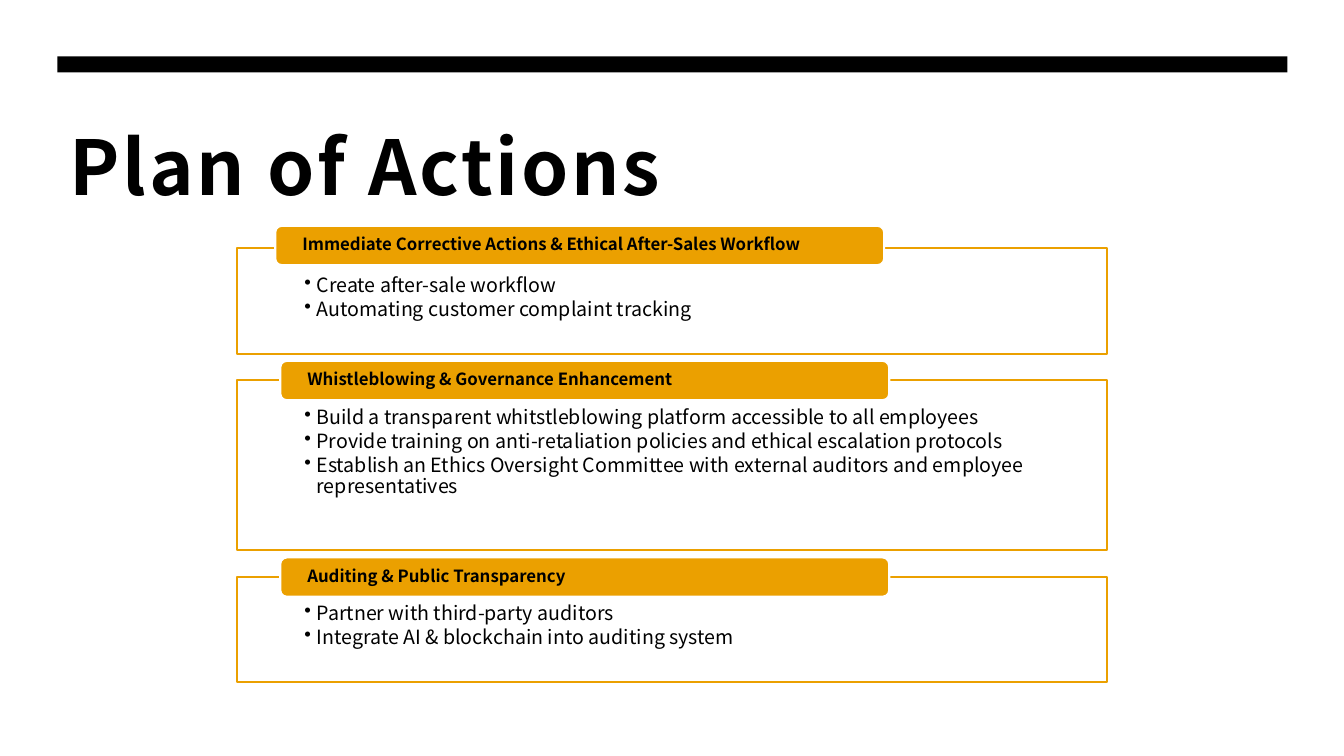
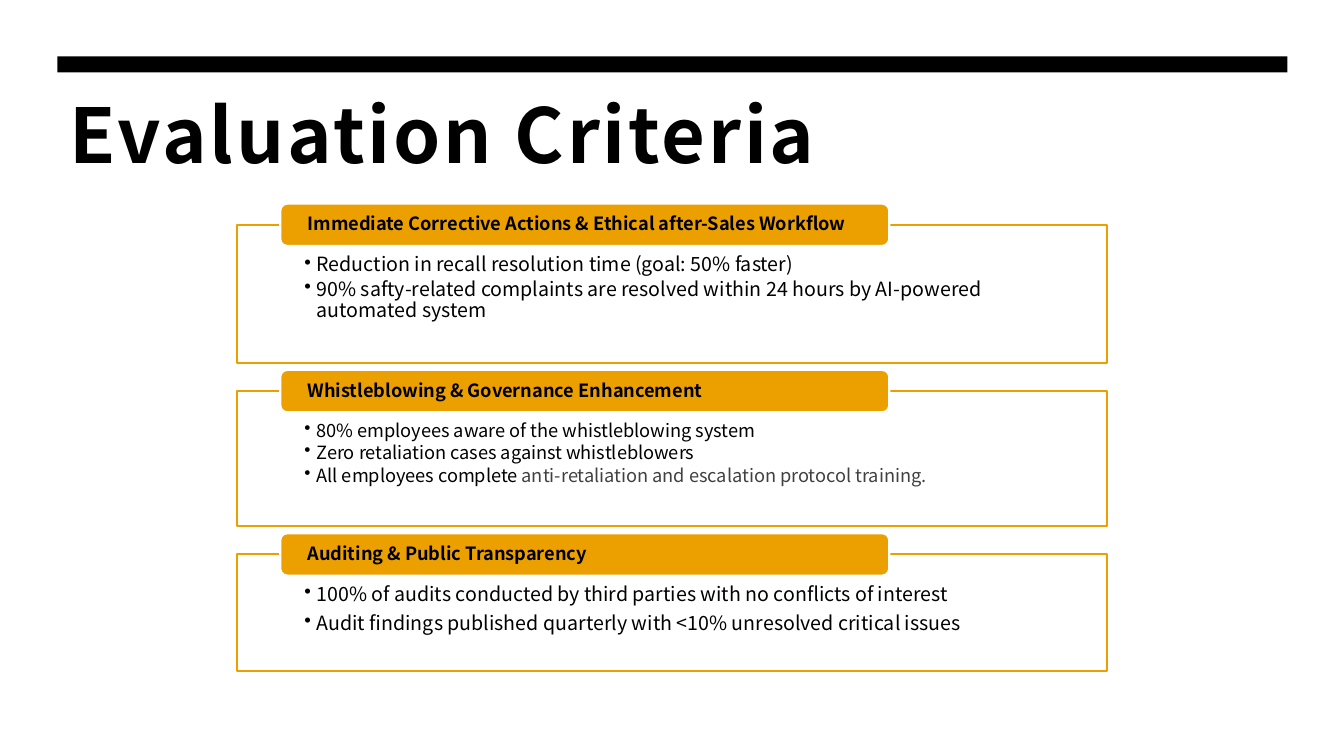
from dataclasses import dataclass

from lxml.etree import SubElement
from pptx import Presentation
from pptx.dml.color import RGBColor
from pptx.enum.shapes import MSO_SHAPE as Shape
from pptx.enum.text import MSO_ANCHOR as Anchor, PP_ALIGN as Align
from pptx.oxml.ns import qn
from pptx.util import Inches, Pt

# Shared style
FONT = "Noto Sans CJK SC"
BLACK, WHITE, GOLD, GREY = "000000", "FFFFFF", "EBA000", "404040"
PANEL_LEFT, PANEL_WIDTH = 2.35, 8.63
LABEL_LEFT, LABEL_WIDTH = 2.78, 6.04


@dataclass
class Panel:
    heading: str
    height: float
    bullets: list  # each bullet is a list of (text, colour) parts or a string
    size: int = 14
    bullet_gap: float = 2.1
    label_shift: tuple = (0, 0)


@dataclass
class PanelStack:
    title: str
    title_top: float
    top: float
    gap: float
    label_rise: float
    label_height: float
    label_size: int
    text_inset: float
    panels: list


PLAN = PanelStack(
    "Plan of Actions", 1.07, top=2.46, gap=0.26, label_rise=0.19,
    label_height=0.39, label_size=12, text_inset=0.27,
    panels=[
        Panel("Immediate Corrective Actions & Ethical After-Sales Workflow", 1.05, [
            "Create after-sale workflow",
            "Automating customer complaint tracking",
        ], label_shift=(-0.05, -0.03)),
        Panel("Whistleblowing & Governance Enhancement", 1.69, [
            "Build a transparent whitstleblowing platform accessible to all employees",
            "Provide training on anti-retaliation policies and ethical escalation protocols",
            "Establish an Ethics Oversight Committee with external auditors and employee "
            "representatives",
        ]),
        Panel("Auditing & Public Transparency", 1.05, [
            "Partner with third-party auditors",
            "Integrate AI & blockchain into auditing system",
        ]),
    ])

CRITERIA = PanelStack(
    "Evaluation Criteria", 0.75, top=2.23, gap=0.28, label_rise=0.21,
    label_height=0.42, label_size=13, text_inset=0.3,
    panels=[
        Panel("Immediate Corrective Actions & Ethical after-Sales Workflow", 1.37, [
            "Reduction in recall resolution time (goal: 50% faster)",
            "90% safty-related complaints are resolved within 24 hours by AI-powered "
            "automated system",
        ]),
        Panel("Whistleblowing & Governance Enhancement", 1.34, [
            "80% employees aware of the whistleblowing system",
            "Zero retaliation cases against whistleblowers",
            [("All employees complete", BLACK),
             (" anti-retaliation and escalation protocol training.", GREY)],
        ], size=13),
        Panel("Auditing & Public Transparency", 1.16, [
            "100% of audits conducted by third parties with no conflicts of interest",
            "Audit findings published quarterly with <10% unresolved critical issues",
        ], bullet_gap=5.6),
    ])


def rgb(hex_colour):
    return RGBColor.from_string(hex_colour)


def set_font(font, size, bold=False):
    font.name, font.size, font.bold = FONT, Pt(size), bold
    font.color.rgb = rgb(BLACK)


def set_insets(frame, left, top, right, bottom):
    frame.margin_left, frame.margin_top = Inches(left), Inches(top)
    frame.margin_right, frame.margin_bottom = Inches(right), Inches(bottom)
    frame.word_wrap = True


def add_box(slide, kind, left, top, width, height, fill, line=None):
    box = slide.shapes.add_shape(
        kind, Inches(left), Inches(top), Inches(width), Inches(height))
    box.shadow.inherit = False
    box.fill.solid()
    box.fill.fore_color.rgb = rgb(fill)
    if line:
        box.line.color.rgb = rgb(line)
        box.line.width = Pt(1.5)
    else:
        box.line.fill.background()
    return box


def set_opacity(box, percent):
    colour = box.element.spPr.find(qn("a:solidFill"))[0]
    SubElement(colour, qn("a:alpha"), val=str(percent * 1000))


def add_bullet(paragraph):
    props = paragraph._p.get_or_add_pPr()
    props.set("marL", str(Inches(0.12)))
    props.set("indent", str(Inches(-0.12)))
    SubElement(props, qn("a:buChar"), char="•")


def fill_bullets(frame, panel):
    for index, bullet in enumerate(panel.bullets):
        paragraph = frame.paragraphs[0] if index == 0 else frame.add_paragraph()
        add_bullet(paragraph)
        paragraph.alignment = Align.LEFT
        paragraph.line_spacing = 0.9
        paragraph.space_after = Pt(panel.bullet_gap)
        set_font(paragraph.font, panel.size)
        parts = [(bullet, BLACK)] if isinstance(bullet, str) else bullet
        for text, colour in parts:
            run = paragraph.add_run()
            run.text = text
            run.font.color.rgb = rgb(colour)


def add_panel(slide, stack, panel, top):
    # Outlined list
    body = add_box(slide, Shape.RECTANGLE, PANEL_LEFT, top,
                   PANEL_WIDTH, panel.height, WHITE, GOLD)
    set_opacity(body, 90)
    set_insets(body.text_frame, 0.67, stack.text_inset, 0.67, 0.11)
    body.text_frame.vertical_anchor = Anchor.TOP
    fill_bullets(body.text_frame, panel)

    # Heading label over the top edge
    shift_x, shift_y = panel.label_shift
    label = add_box(slide, Shape.ROUNDED_RECTANGLE, LABEL_LEFT + shift_x,
                    top - stack.label_rise + shift_y,
                    LABEL_WIDTH, stack.label_height, GOLD, WHITE)
    set_insets(label.text_frame, 0.25, 0, 0.25, 0)
    label.text_frame.vertical_anchor = Anchor.MIDDLE
    heading = label.text_frame.paragraphs[0]
    heading.text = panel.heading
    heading.alignment = Align.LEFT
    heading.line_spacing = 0.9
    set_font(heading.font, stack.label_size, bold=True)


def set_title(slide, text, top):
    title = slide.shapes.title
    title.left, title.top = Inches(0.57), Inches(top)
    title.width, title.height = Inches(12.2), Inches(1.6)
    set_insets(title.text_frame, 0.12, 0.12, 0.12, 0.1)
    title.text_frame.vertical_anchor = Anchor.TOP
    paragraph = title.text_frame.paragraphs[0]
    paragraph.text = text
    paragraph.alignment = Align.LEFT
    set_font(paragraph.font, 54, bold=True)
    paragraph.runs[0]._r.get_or_add_rPr().set("spc", "200")


def add_stack_slide(prs, layout, stack):
    slide = prs.slides.add_slide(layout)
    set_title(slide, stack.title, stack.title_top)
    top = stack.top
    for panel in stack.panels:
        add_panel(slide, stack, panel, top)
        top += panel.height + stack.gap
    return slide


def move_band_to_layout(slide, layout):
    band = add_box(slide, Shape.RECTANGLE, 0.57, 0.56, 12.2, 0.16, BLACK)
    layout.shapes.element.append(band.element)


def main():
    prs = Presentation()
    prs.slide_width, prs.slide_height = Inches(13.33), Inches(7.5)
    layout = prs.slide_layouts[5]  # Title Only
    slides = [add_stack_slide(prs, layout, stack) for stack in (PLAN, CRITERIA)]
    move_band_to_layout(slides[0], layout)
    prs.save("out.pptx")


if __name__ == "__main__":
    main()
